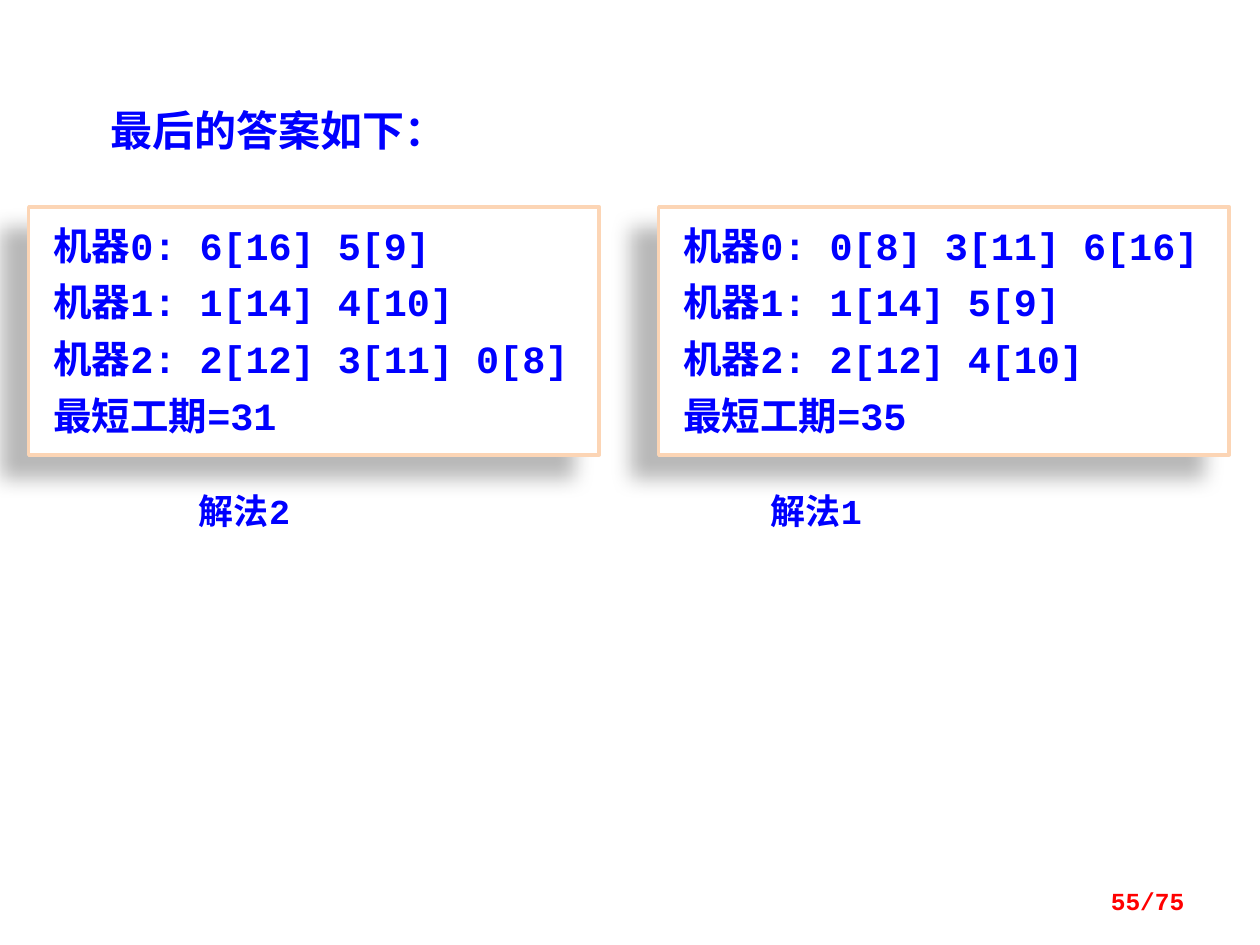
from dataclasses import dataclass

from lxml.etree import SubElement
from pptx import Presentation
from pptx.dml.color import RGBColor as Rgb
from pptx.enum.shapes import MSO_SHAPE as Shape
from pptx.enum.text import MSO_ANCHOR as Anchor, MSO_AUTO_SIZE as Fit, PP_ALIGN as Align
from pptx.oxml.ns import qn
from pptx.util import Cm, Pt


@dataclass(frozen=True)
class Theme:
    blue: Rgb = Rgb(0x00, 0x00, 0xFF)
    red: Rgb = Rgb(0xFF, 0x00, 0x00)
    white: Rgb = Rgb(0xFF, 0xFF, 0xFF)
    peach: Rgb = Rgb(0xFC, 0xD5, 0xB5)
    shade: str = "000000"
    mono: str = "Courier New"
    hans: str = "Noto Sans CJK SC"
    head: int = 24
    body: int = 22
    label: int = 20
    page: int = 14


@dataclass(frozen=True)
class Answer:
    left: float
    name_left: float
    name: str
    lines: tuple[str, ...]


THEME = Theme()

ANSWERS = (
    Answer(0.58, 3.76, "解法2", (
        "机器0: 6[16] 5[9]",
        "机器1: 1[14] 4[10]",
        "机器2: 2[12] 3[11] 0[8]",
        "最短工期=31",
    )),
    Answer(13.28, 15.29, "解法1", (
        "机器0: 0[8] 3[11] 6[16]",
        "机器1: 1[14] 5[9]",
        "机器2: 2[12] 4[10]",
        "最短工期=35",
    )),
)


def write(shape, *lines: str, size: int, color: Rgb = THEME.blue,
          face: str = THEME.mono, align=Align.LEFT, anchor=Anchor.TOP,
          gap: float = 0, inset=(0.25, 0.13, 0.25, 0.13)) -> None:
    frame = shape.text_frame
    frame.word_wrap = True
    frame.auto_size = Fit.NONE
    frame.vertical_anchor = anchor
    (frame.margin_left, frame.margin_top,
     frame.margin_right, frame.margin_bottom) = map(Cm, inset)
    for i, line in enumerate(lines):
        para = frame.add_paragraph() if i else frame.paragraphs[0]
        para.alignment = align
        para.space_before = Pt(gap if i else 0)
        run = para.add_run()
        run.text = line
        font = run.font
        font.size = Pt(size)
        font.bold = True
        font.color.rgb = color
        font.name = face
        SubElement(font._element, qn("a:ea"), typeface=THEME.hans)


def add_box(slide, left: float, top: float, width: float, height: float):
    return slide.shapes.add_textbox(Cm(left), Cm(top), Cm(width), Cm(height))


def add_shade(shape) -> None:
    shape.shadow.inherit = False
    effects = shape._element.spPr.find(qn("a:effectLst"))
    outer = SubElement(effects, qn("a:outerShdw"), blurRad=str(Pt(11.8)),
                       dist=str(Pt(19.7)), dir=str(141 * 60000),
                       algn="tr", rotWithShape="0")
    tint = SubElement(outer, qn("a:srgbClr"), val=THEME.shade)
    SubElement(tint, qn("a:alpha"), val="28000")


def add_answer(slide, item: Answer) -> None:
    panel = slide.shapes.add_shape(
        Shape.RECTANGLE, Cm(item.left), Cm(4.17), Cm(11.5), Cm(5))
    panel.fill.solid()
    panel.fill.fore_color.rgb = THEME.white
    panel.line.color.rgb = THEME.peach
    panel.line.width = Pt(2)
    add_shade(panel)
    write(panel, *item.lines, size=THEME.body, gap=6,
          inset=(0.5, 0.3, 0.25, 0.3))
    write(add_box(slide, item.name_left, 9.73, 4.17, 1.12),
          item.name, size=THEME.label)


def main() -> None:
    deck = Presentation()
    deck.slide_width, deck.slide_height = Cm(25.4), Cm(19.05)
    slide = deck.slides.add_slide(deck.slide_layouts[5])
    title = slide.shapes.title
    title.left, title.top = Cm(1.98), Cm(1.98)
    title.width, title.height = Cm(10.72), Cm(1.27)
    write(title, "最后的答案如下：", size=THEME.head, face=THEME.hans)
    for item in ANSWERS:
        add_answer(slide, item)
    write(add_box(slide, 18.21, 17.65, 5.92, 1.02), "55/75",
          size=THEME.page, color=THEME.red, align=Align.RIGHT,
          anchor=Anchor.MIDDLE)
    deck.save("out.pptx")


if __name__ == "__main__":
    main()
